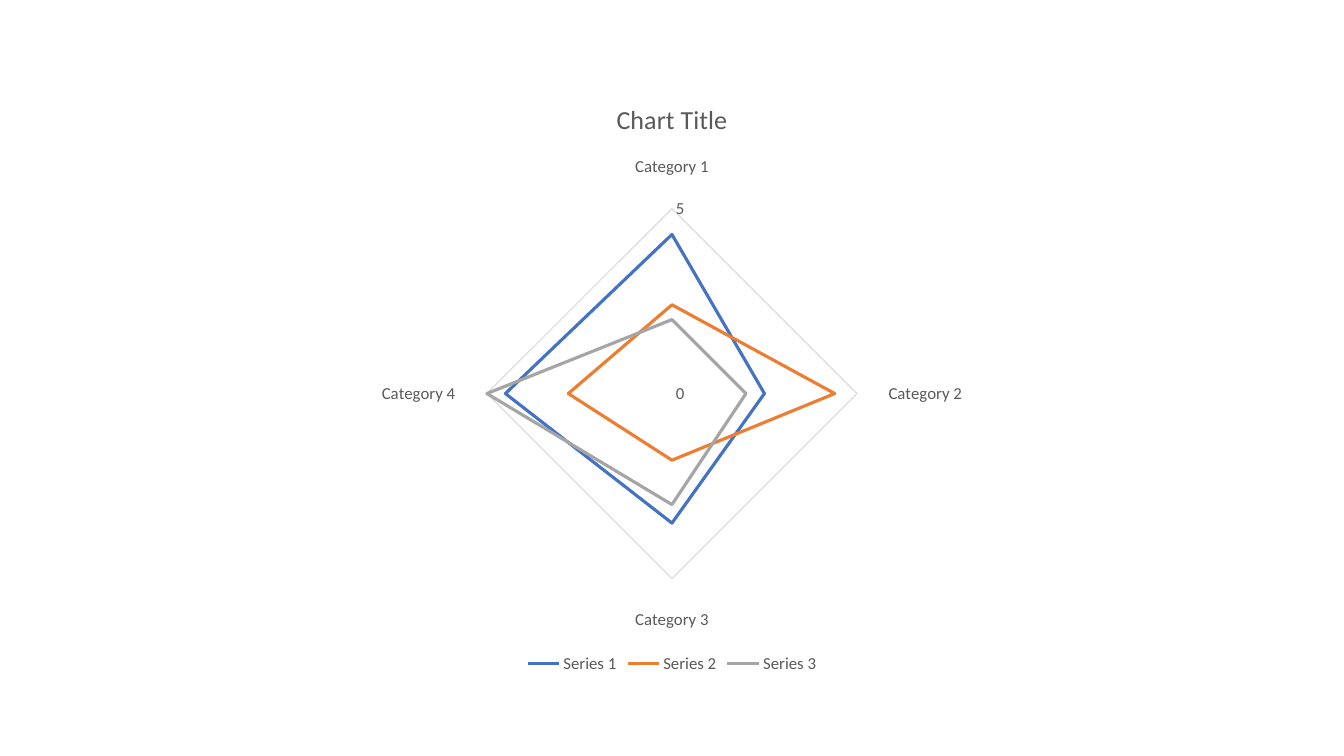
from pptx import Presentation
from pptx.chart.data import CategoryChartData
from pptx.dml.color import RGBColor
from pptx.enum.chart import (XL_CHART_TYPE as ChartType, XL_LEGEND_POSITION as LegendPos,
                             XL_MARKER_STYLE as Marker, XL_TICK_MARK as Tick)
from pptx.util import Inches, Pt

CATEGORIES = ["Category 1", "Category 2", "Category 3", "Category 4"]
SERIES = [
    ("Series 1", (4.3, 2.5, 3.5, 4.5), "4472C4"),
    ("Series 2", (2.4, 4.4, 1.8, 2.8), "ED7D31"),
    ("Series 3", (2, 2, 3, 5), "A5A5A5"),
]


def rgb(value):
    return RGBColor.from_string(value)


class SlideBuilder:
    font_name = "Calibri"
    text = "595959"
    grid = "D9D9D9"

    def __init__(self, prs):
        self.s = prs.slides.add_slide(prs.slide_layouts[6])

    def style_font(self, font, size):
        font.name = self.font_name
        font.size = Pt(size)
        font.bold = False
        font.color.rgb = rgb(self.text)

    def style_line(self, line, color, width):
        line.color.rgb = rgb(color)
        line.width = Pt(width)

    def style_axis(self, axis):
        axis.major_tick_mark = axis.minor_tick_mark = Tick.NONE
        axis.has_major_gridlines = True
        self.style_line(axis.major_gridlines.format.line, self.grid, 0.75)
        self.style_font(axis.tick_labels.font, 12)
        axis.tick_labels.number_format = "General"
        axis.tick_labels.number_format_is_linked = False

    def radar(self, title, categories, series, x, y, w, h):
        data = CategoryChartData()
        data.categories = categories
        for name, values, _ in series:
            data.add_series(name, values)
        chart = self.s.shapes.add_chart(ChartType.RADAR, Inches(x), Inches(y),
                                        Inches(w), Inches(h), data).chart
        self.style_font(chart.font, 12)

        # Title
        chart.has_title = True
        r = chart.chart_title.text_frame.paragraphs[0].add_run()
        r.text = title
        self.style_font(r.font, 18.6)
        chart.chart_title.include_in_layout = False

        # Legend
        chart.has_legend = True
        chart.legend.position = LegendPos.BOTTOM
        chart.legend.include_in_layout = False
        self.style_font(chart.legend.font, 12)

        # Axes
        for axis in (chart.category_axis, chart.value_axis):
            self.style_axis(axis)
        self.style_line(chart.category_axis.format.line, self.grid, 0.75)
        value_axis = chart.value_axis
        value_axis.format.line.fill.background()
        value_axis.minimum_scale = 0
        value_axis.maximum_scale = value_axis.major_unit = 5

        # Series
        for ser, (_, _, color) in zip(chart.plots[0].series, series):
            self.style_line(ser.format.line, color, 2.25)
            ser.marker.style = Marker.NONE
            ser.smooth = False


def main():
    prs = Presentation()
    prs.slide_width, prs.slide_height = Inches(13.33), Inches(7.5)
    slide = SlideBuilder(prs)
    slide.radar("Chart Title", CATEGORIES, SERIES, 2.22, 0.79, 8.89, 5.93)
    prs.save("out.pptx")


if __name__ == "__main__":
    main()
